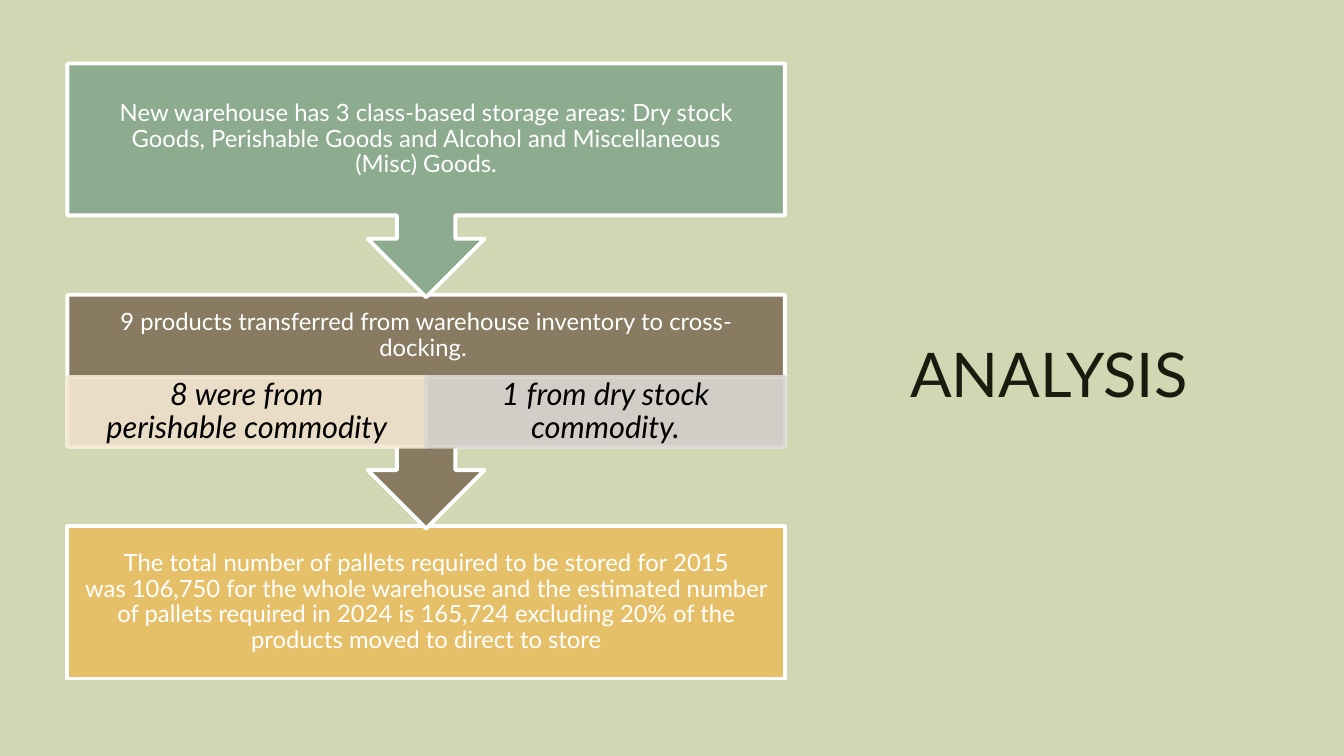
"""Build the warehouse analysis slide: a three-step flow beside its title."""
from lxml.etree import SubElement
from pptx import Presentation
from pptx.dml.color import RGBColor
from pptx.enum.shapes import MSO_SHAPE as SHAPE
from pptx.enum.text import MSO_ANCHOR as ANCHOR, PP_ALIGN as ALIGN
from pptx.oxml.ns import qn
from pptx.util import Cm, Pt

NBSP = chr(160)


def paint(fill, value, alpha=100):
    fill.solid()
    fill.fore_color.rgb = RGBColor.from_string(value)
    if alpha < 100:
        clr = fill._xPr.find(qn("a:solidFill")).find(qn("a:srgbClr"))
        SubElement(clr, qn("a:alpha")).set("val", str(alpha * 1000))


def write(sp, text, size, color, insets, italic=False):
    tf = sp.text_frame
    tf.word_wrap = True
    tf.vertical_anchor = ANCHOR.MIDDLE
    tf.margin_left = tf.margin_right = Cm(insets[0])
    tf.margin_top, tf.margin_bottom = Cm(insets[1]), Cm(insets[2])
    p = tf.paragraphs[0]
    p.alignment = ALIGN.CENTER
    p.line_spacing = 0.9
    r = p.add_run()
    r.text = text.replace("~", NBSP)
    r.font.name = "Lato"
    r.font.size = Pt(size)
    r.font.italic = italic
    paint(r.font.fill, color)


prs = Presentation()
prs.slide_width, prs.slide_height = Cm(33.87), Cm(19.05)
s = prs.slides.add_slide(prs.slide_layouts[6])
paint(s.background.fill, "D1D7B2")

title = s.shapes.add_textbox(Cm(22.05), Cm(1.78), Cm(9.17), Cm(15.49))
write(title, "ANALYSIS~", 44, "191B0E", (0.25, 0.13, 0.13))

LEFT, TOP, WIDTH, STEP = 1.7, 1.6, 18.08, 5.83
BOX_H, CALLOUT_H = 3.84, 5.89
DETAIL_TOP, DETAIL_H = 9.5, 1.76
PAD = 0.33

steps = [
    (2, SHAPE.RECTANGLE, BOX_H, "E6C069", PAD,
     "The~total number of~pallets~required to be stored for~2015 "
     "was~106,750~for the~whole~warehouse~and the estimated~number "
     "of pallets~required in~2024~is~165,724~excluding~20% of~the "
     "products~moved to~direct to store"),
    (1, SHAPE.DOWN_ARROW_CALLOUT, CALLOUT_H, "897B61", PAD + DETAIL_H,
     "9~products transferred~from~warehouse~inventory to cross-docking.~"),
    (0, SHAPE.DOWN_ARROW_CALLOUT, CALLOUT_H, "8DAB8E", PAD,
     "New warehouse has 3 class-based storage areas: Dry stock Goods, "
     "Perishable Goods and Alcohol and Miscellaneous (Misc)~Goods."),
]
details = [
    ("F5E8D4", "8~were from perishable~commodity"),
    ("DAD7D2", "1~from dry stock commodity."),
]

for row, kind, height, color, bottom, text in steps:
    sp = s.shapes.add_shape(kind, Cm(LEFT), Cm(TOP + row * STEP), Cm(WIDTH), Cm(height))
    sp.shadow.inherit = False
    paint(sp.fill, color)
    sp.line.width = Pt(2.75)
    paint(sp.line.fill, "FFFFFF")
    write(sp, text, 17, "FFFFFF", (PAD, PAD, bottom))

for col, (color, text) in enumerate(details):
    sp = s.shapes.add_shape(SHAPE.RECTANGLE, Cm(LEFT + col * WIDTH / 2), Cm(DETAIL_TOP),
                            Cm(WIDTH / 2), Cm(DETAIL_H))
    sp.shadow.inherit = False
    paint(sp.fill, color, 90)
    sp.line.width = Pt(2.75)
    paint(sp.line.fill, color, 90)
    write(sp, text, 22, "000000", (0.43, 0.08, 0.08), italic=True)

prs.save("out.pptx")
